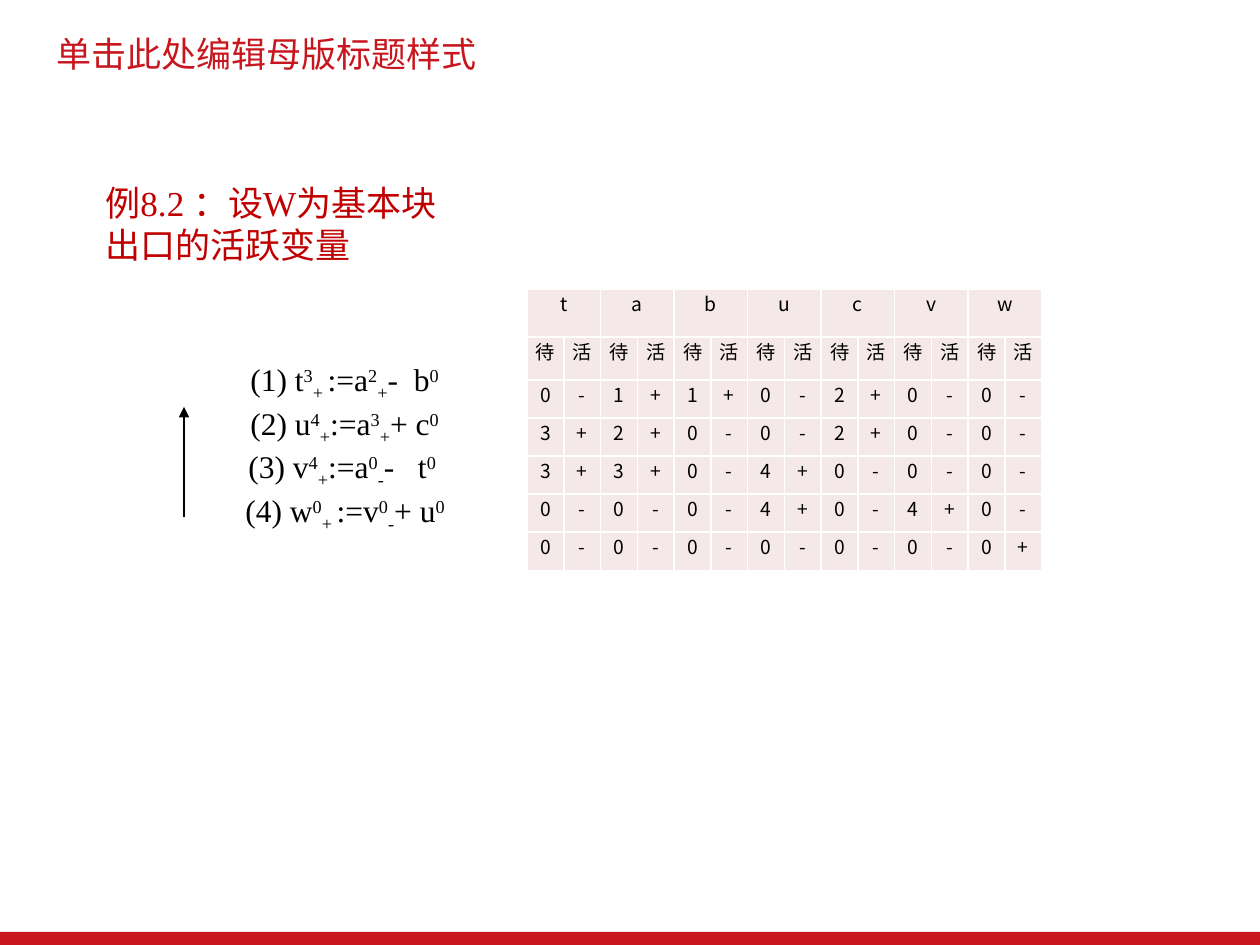
import itertools

import pptx
import pptx.dml.color
import pptx.enum.shapes
import pptx.enum.text
import pptx.oxml
import pptx.oxml.ns
import pptx.util

EMU_PER_PX = 914400 / 126
SANS = "Noto Sans CJK SC"
SERIF = "Times New Roman"
BLACK = "000000"
BASELINES = (0, 30000, -25000)

VARIABLES = "tabucvw"
STATES = [
    "0- 1+ 1+ 0- 2+ 0- 0-",
    "3+ 2+ 0- 0- 2+ 0- 0-",
    "3+ 3+ 0- 4+ 0- 0- 0-",
    "0- 0- 0- 4+ 0- 4+ 0-",
    "0- 0- 0- 0- 0- 0- 0+",
]
ROW_HEIGHTS = (48, 43, 38, 38, 38, 38, 39)
QUADRUPLES = [
    (238, 354, 290, ("(1) t", "3", "+ ", ":=a", "2", "+", "-  b", "0")),
    (238, 398, 289, ("(2) u", "4", "+", ":=a", "3", "+", "+ c", "0")),
    (236, 441, 286, ("(3) v", "4", "+", ":=a", "0", "-", "-   t", "0")),
    (233, 485, 304, ("(4) w", "0", "+ ", ":=v", "0", "-", "+ u", "0")),
]


def px(length):
    return pptx.util.Emu(round(length * EMU_PER_PX))


def color(hex_string):
    return pptx.dml.color.RGBColor.from_string(hex_string)


def add_xml(parent, tag, **attributes):
    child = pptx.oxml.parse_xml(f"<a:{tag} {pptx.oxml.ns.nsdecls('a')}/>")
    for name, value in attributes.items():
        child.set(name, value)
    parent.append(child)
    return child


def style(paragraph, size, typeface, hex_string):
    paragraph.font.size = pptx.util.Pt(size)
    paragraph.font.name = typeface
    paragraph.font.color.rgb = color(hex_string)
    defaults = paragraph._p.pPr.find(pptx.oxml.ns.qn("a:defRPr"))
    add_xml(defaults, "ea", typeface=SANS)


def add_text(slide, box, text, size, typeface, hex_string):
    frame = slide.shapes.add_textbox(*map(px, box)).text_frame
    frame.word_wrap = True
    paragraph = frame.paragraphs[0]
    paragraph.text = text
    style(paragraph, size, typeface, hex_string)
    return frame


def add_quadruple(slide, left, top, width, parts):
    frame = add_text(slide, (left, top, width, 64), "", 18, SERIF, BLACK)
    frame.word_wrap = False
    frame.auto_size = pptx.enum.text.MSO_AUTO_SIZE.SHAPE_TO_FIT_TEXT
    for part, baseline in zip(parts, itertools.cycle(BASELINES)):
        run = frame.paragraphs[0].add_run()
        run.text = part
        if baseline:
            run._r.get_or_add_rPr().set("baseline", str(baseline))


def add_border(cell):
    properties = cell._tc.get_or_add_tcPr()
    for position, side in enumerate(("lnL", "lnR", "lnT", "lnB")):
        border = add_xml(properties, side, w="12700")
        add_xml(add_xml(border, "solidFill"), "srgbClr", val="FFFFFF")
        properties.remove(border)
        properties.insert(position, border)


def fill_cell(cell, text):
    cell.fill.solid()
    cell.fill.fore_color.rgb = color("F5E8E8")
    cell.margin_left = cell.margin_right = px(9)
    cell.margin_top = cell.margin_bottom = 0
    paragraph = cell.text_frame.paragraphs[0]
    paragraph.text = text
    paragraph.alignment = pptx.enum.text.PP_ALIGN.CENTER
    style(paragraph, 11, SANS, BLACK)
    add_border(cell)


def add_liveness_table(slide):
    names = [text for name in VARIABLES for text in (name, "")]
    rows = [names, "待活" * len(VARIABLES)]
    rows += [state.replace(" ", "") for state in STATES]
    box = (527, 289, 515, sum(ROW_HEIGHTS))
    table = slide.shapes.add_table(len(rows), len(names), *map(px, box)).table
    for column in table.columns:
        column.width = px(515 / len(names))
    for row, height in zip(table.rows, ROW_HEIGHTS):
        row.height = px(height)
    for row_index, texts in enumerate(rows):
        for column_index, text in enumerate(texts):
            fill_cell(table.cell(row_index, column_index), text)
    for start in range(0, len(names), 2):
        table.cell(0, start).merge(table.cell(0, start + 1))


def add_arrow(slide, x, start_y, end_y):
    arrow = slide.shapes.add_connector(
        pptx.enum.shapes.MSO_CONNECTOR.STRAIGHT,
        px(x), px(start_y), px(x), px(end_y),
    )
    arrow.line.color.rgb = color(BLACK)
    arrow.line.width = pptx.util.Pt(0.75)
    add_xml(arrow.line._get_or_add_ln(), "tailEnd", type="triangle")
    add_xml(arrow._element.spPr, "effectLst")


def add_footer_bar(slide):
    bar = slide.shapes.add_shape(
        pptx.enum.shapes.MSO_SHAPE.RECTANGLE, *map(px, (0, 932, 1260, 13))
    )
    bar.shadow.inherit = False
    bar.fill.solid()
    bar.fill.fore_color.rgb = color("C9151E")
    bar.line.fill.background()


def main():
    presentation = pptx.Presentation()
    presentation.slide_width = px(1260)
    presentation.slide_height = px(945)
    slide = presentation.slides.add_slide(presentation.slide_layouts[6])

    heading = add_text(
        slide, (44, 33, 892, 46), "单击此处编辑母版标题样式", 20, SANS, "C8161E"
    )
    heading.vertical_anchor = pptx.enum.text.MSO_ANCHOR.MIDDLE
    heading.paragraphs[0].line_spacing = 0.9
    add_footer_bar(slide)
    add_liveness_table(slide)
    for quadruple in QUADRUPLES:
        add_quadruple(slide, *quadruple)
    add_arrow(slide, 184, 517, 407)
    example = add_text(
        slide, (93, 175, 360, 97), "例8.2 ：设W为基本块出口的活跃变量", 20, SERIF, "C00000"
    )
    example.auto_size = pptx.enum.text.MSO_AUTO_SIZE.SHAPE_TO_FIT_TEXT

    presentation.save("out.pptx")


if __name__ == "__main__":
    main()
